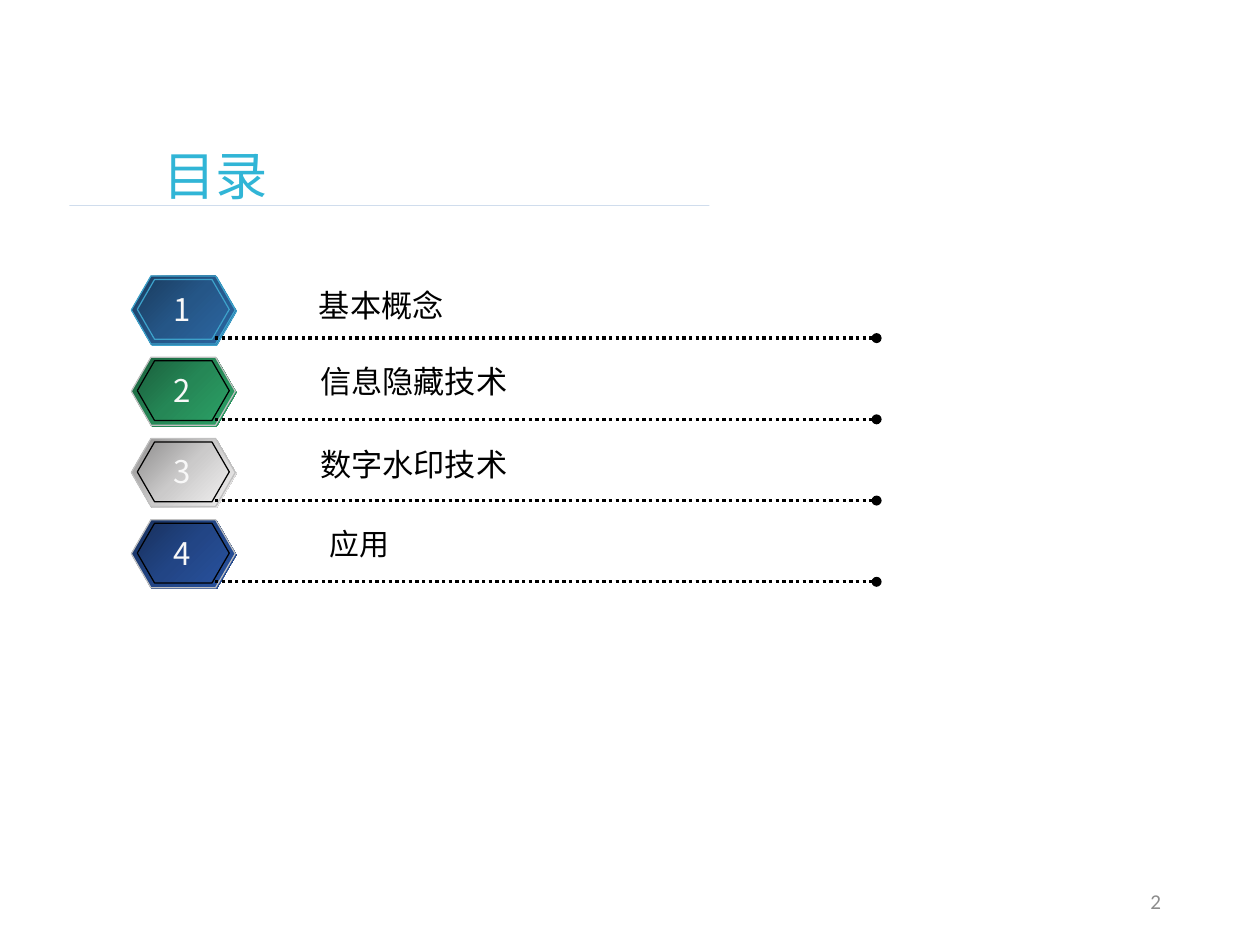
"""Build the table-of-contents slide with four numbered hexagon entries."""
from copy import deepcopy

from lxml.etree import SubElement
from pptx import Presentation
from pptx.dml.color import RGBColor
from pptx.enum.dml import MSO_LINE
from pptx.enum.shapes import MSO_CONNECTOR, MSO_SHAPE
from pptx.enum.text import MSO_ANCHOR, MSO_AUTO_SIZE, PP_ALIGN
from pptx.oxml.ns import qn
from pptx.util import Pt

PX = 9144
ROW_PITCH = 68
CHINESE_FONT = "Noto Sans CJK SC"

TITLE_CYAN = RGBColor(0x31, 0xB5, 0xD6)
RULE_BLUE = RGBColor(0x4A, 0x7E, 0xBB)
EDGE_BLUE = RGBColor(0x3D, 0xA2, 0xCB)
SILVER = RGBColor(0xC0, 0xC0, 0xC0)
BLACK = RGBColor(0x00, 0x00, 0x00)
NUMBER_WHITE = RGBColor(0xF8, 0xF8, 0xF8)
PAGE_GRAY = RGBColor(0x8C, 0x8C, 0x8C)
BLUES = (RGBColor(0x1A, 0x3C, 0x5F), RGBColor(0x25, 0x56, 0x87), RGBColor(0x2B, 0x66, 0xA1))
GREENS = (RGBColor(0x1A, 0x5F, 0x3C), RGBColor(0x25, 0x87, 0x56), RGBColor(0x2B, 0xA1, 0x66))
GRAYS = (RGBColor(0x8F, 0x8E, 0x8E), RGBColor(0xCB, 0xCA, 0xCA), RGBColor(0xF1, 0xF0, 0xF0))
NAVIES = (RGBColor(0x18, 0x31, 0x5E), RGBColor(0x22, 0x45, 0x85), RGBColor(0x28, 0x52, 0x9E))

HEXAGONS = ((111, 232, 87, 57), (110, 231, 87, 57), (115, 234, 77, 50))
FITTED = {
    "margin_left": 8 * PX,
    "margin_right": 8 * PX,
    "margin_top": 4 * PX,
    "margin_bottom": 4 * PX,
    "word_wrap": False,
    "auto_size": MSO_AUTO_SIZE.SHAPE_TO_FIT_TEXT,
}
PAGE_FRAME = {"word_wrap": True, "vertical_anchor": MSO_ANCHOR.MIDDLE}

ENTRIES = (
    ("基本概念", (259, 236, 122, 40), 18.8, BLUES, (EDGE_BLUE, EDGE_BLUE, EDGE_BLUE)),
    ("信息隐藏技术", (260, 299, 175, 40), 18.8, GREENS, (None, SILVER, BLACK)),
    ("数字水印技术", (260, 369, 175, 40), 18.8, GRAYS, (None, SILVER, BLACK)),
    ("应用", (268, 436, 68, 38), 18, NAVIES, (None, SILVER, BLACK)),
)


def add_text(text, box, size, color, frame_format, alignment=PP_ALIGN.LEFT, font_name=CHINESE_FONT):
    text_frame = slide.shapes.add_textbox(*(length * PX for length in box)).text_frame
    for name, value in frame_format.items():
        setattr(text_frame, name, value)
    paragraph = text_frame.paragraphs[0]
    paragraph.alignment = alignment
    run = paragraph.add_run()
    run.text = text
    run.font.name = font_name
    run.font.size = Pt(size)
    run.font.color.rgb = color
    SubElement(run.font._element, qn("a:ea"), typeface=font_name)


def add_line(left, right, y, color, width, dash):
    connector = slide.shapes.add_connector(
        MSO_CONNECTOR.STRAIGHT, left * PX, y * PX, right * PX, y * PX
    )
    connector.line.color.rgb = color
    connector.line.width = Pt(width)
    connector.line.dash_style = dash
    SubElement(connector._element.spPr, qn("a:effectLst"))
    return connector.line._get_or_add_ln()


presentation = Presentation()
presentation.slide_width = 1055 * PX
presentation.slide_height = 791 * PX
slide = presentation.slides.add_slide(presentation.slide_layouts[6])

add_text("目录", (129, 116, 672, 61), 31.5, TITLE_CYAN, {**FITTED, "word_wrap": True})
title_rule = add_line(58, 594, 172, RULE_BLUE, 0.5, MSO_LINE.SOLID)
SubElement(title_rule.find(".//" + qn("a:srgbClr")), qn("a:alpha"), val="25000")

for row, (label, label_box, label_size, gradient, edges) in enumerate(ENTRIES):
    offset = row * ROW_PITCH
    badge = slide.shapes.add_group_shape()
    for (left, top, width, height), edge in zip(HEXAGONS, edges):
        hexagon = badge.shapes.add_shape(
            MSO_SHAPE.HEXAGON, left * PX, (top + offset) * PX, width * PX, height * PX
        )
        hexagon.shadow.inherit = False
        hexagon.adjustments[0] = 0.289
        hexagon.adjustments[1] = 1.155
        hexagon.fill.gradient()
        hexagon.fill.gradient_angle = 315
        stop_list = hexagon._element.spPr.find(".//" + qn("a:gsLst"))
        stop_list.append(deepcopy(stop_list[-1]))
        for stop, position, color in zip(hexagon.fill.gradient_stops, (0, 0.5, 1), gradient):
            stop.position = position
            stop.color.rgb = color
        if edge is None:
            hexagon.line.fill.background()
        else:
            hexagon.line.color.rgb = edge
            hexagon.line.width = Pt(0.75)

    dotted_line = add_line(180, 734, 283 + offset, BLACK, 2, MSO_LINE.ROUND_DOT)
    SubElement(dotted_line, qn("a:tailEnd"), type="oval")
    add_text(label, label_box, label_size, BLACK, FITTED)
    number_box = (137, 239 + offset, 31, 40)
    add_text(str(row + 1), number_box, 18.8, NUMBER_WHITE, FITTED, PP_ALIGN.CENTER)

add_text("2", (745, 733, 237, 42), 12.7, PAGE_GRAY, PAGE_FRAME, PP_ALIGN.RIGHT, "Calibri")

presentation.save("out.pptx")
